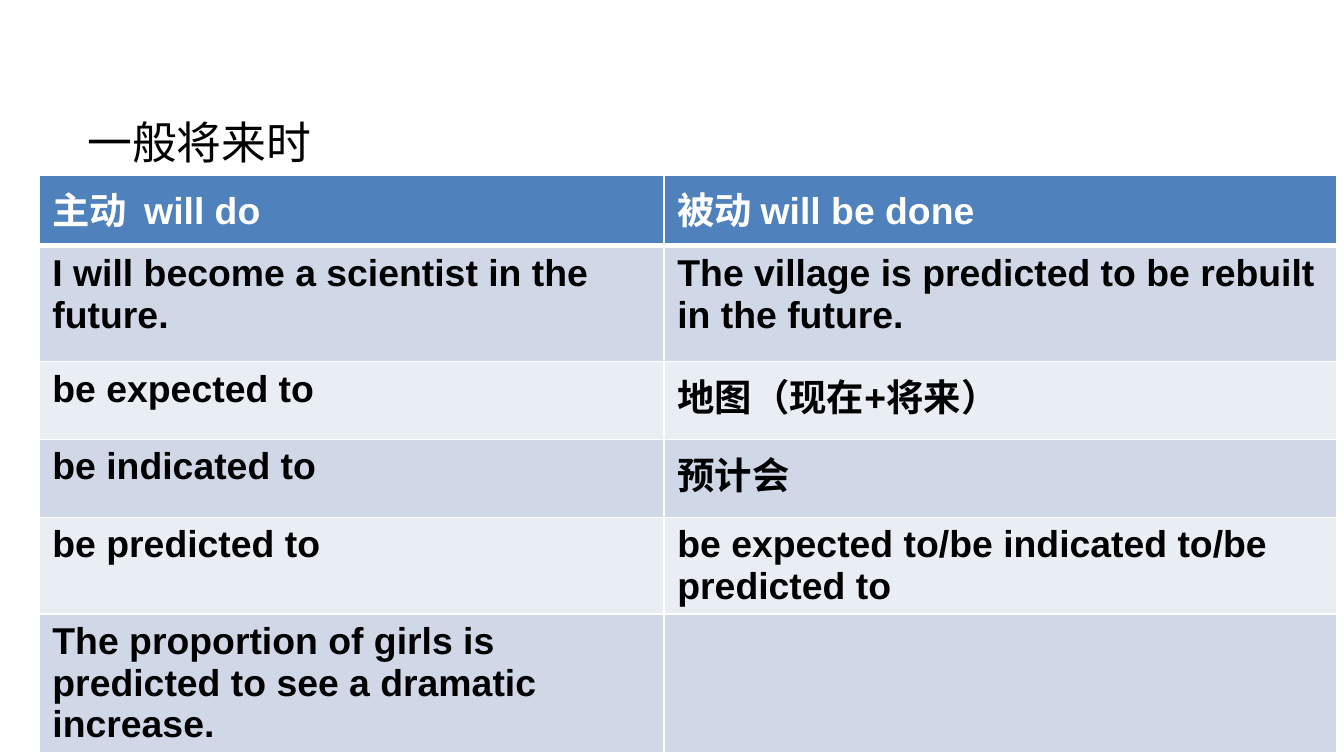
from lxml import etree
from pptx import Presentation
from pptx.dml.color import RGBColor
from pptx.enum.text import MSO_ANCHOR, PP_ALIGN
from pptx.oxml.ns import qn
from pptx.util import Inches, Pt

LEFT = PP_ALIGN.LEFT
MIDDLE = MSO_ANCHOR.MIDDLE
WHITE, BLACK, HEAD = "FFFFFF", "000000", "4F81BD"
BANDS = ("D0D8E8", "E9EDF4")
COLS = (4.65, 5.01)
HEIGHTS = (0.53, 0.86) + (0.58,) * 4
ROWS = (
    ("主动  will do", "被动 will be done"),
    ("I will become a scientist in the future.",
     "The village is predicted to be rebuilt in the future."),
    ("be expected to", "地图（现在+将来）"),
    ("be indicated to", "预计会"),
    ("be predicted to", "be expected to/be indicated to/be predicted to"),
    ("The proportion of girls is predicted to see a dramatic increase.", ""),
)


def color(code):
    return RGBColor.from_string(code)


def style(font, code, **values):
    for name, value in values.items():
        setattr(font, name, value)
    font.color.rgb = color(code)


def border(cell, sides):
    props = cell._tc.get_or_add_tcPr()
    for place, (side, width) in enumerate(sides.items()):
        line = etree.Element(qn("a:ln" + side), w=str(Pt(width)))
        fill = etree.SubElement(line, qn("a:solidFill"))
        etree.SubElement(fill, qn("a:srgbClr"), val=WHITE)
        props.insert(place, line)


def add_title(slide, box):
    title = slide.shapes.title
    title.left, title.top, title.width, title.height = map(Inches, box)
    frame = title.text_frame
    frame.text = "一般将来时"
    frame.vertical_anchor = MIDDLE
    para = frame.paragraphs[0]
    para.alignment = LEFT
    style(para.runs[0].font, BLACK, name="Comic Neue", size=Pt(24), bold=False)


def add_grid(slide, box):
    frame = slide.shapes.add_table(len(ROWS), len(COLS), *map(Inches, box))
    table = frame.table
    for col, width in zip(table.columns, COLS):
        col.width = Inches(width)
    for row, height in zip(table.rows, HEIGHTS):
        row.height = Inches(height)
    for i, texts in enumerate(ROWS):
        back = BANDS[(i - 1) % 2] if i else HEAD
        sides = {"L": 1, "R": 1, "T": 3 if i == 1 else 1, "B": 1 if i else 3}
        for j, text in enumerate(texts):
            cell = table.cell(i, j)
            cell.text = text
            cell.fill.solid()
            cell.fill.fore_color.rgb = color(back)
            border(cell, sides)
            para = cell.text_frame.paragraphs[0]
            for part in para.runs or [para]:
                style(part.font, BLACK if i else WHITE,
                      name="Arial", size=Pt(20), bold=True)


def main():
    deck = Presentation()
    deck.slide_width = Inches(10)
    deck.slide_height = deck.slide_width * 9 // 16
    slide = deck.slides.add_slide(deck.slide_layouts[5])
    add_title(slide, (0.55, 0.78, 8.9, 0.55))
    add_grid(slide, (0.29, 1.3, sum(COLS), sum(HEIGHTS)))
    deck.save("out.pptx")


if __name__ == "__main__":
    main()
